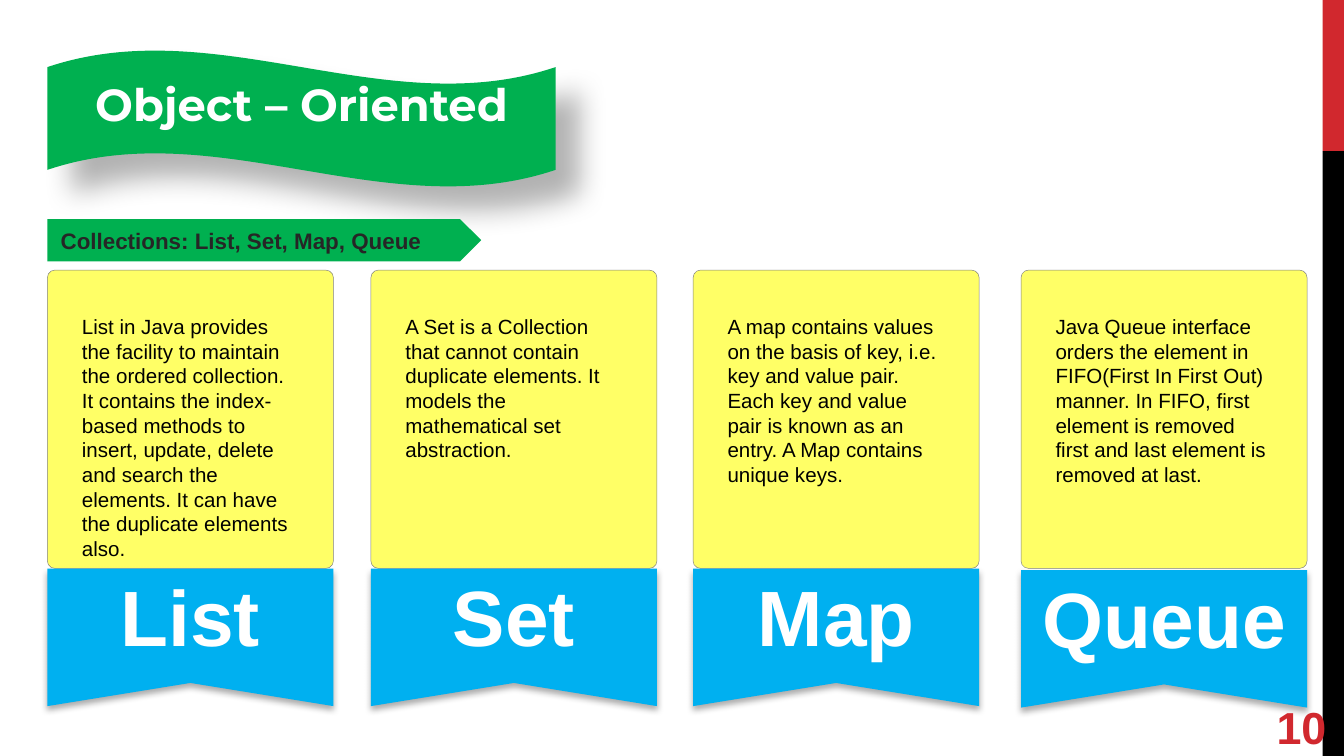
import pptx
import pptx.dml.color
import pptx.enum.shapes
import pptx.enum.text
import pptx.util
import lxml.etree

Pt = pptx.util.Pt
Shape = pptx.enum.shapes.MSO_SHAPE
Align = pptx.enum.text.PP_ALIGN
Anchor = pptx.enum.text.MSO_ANCHOR

GREEN, YELLOW, BLUE, RED = "00B050", "FFFF66", "00B0F0", "D1282E"
BLACK, WHITE, DARK, GREY = "000000", "FFFFFF", "262626", "808080"

TITLE = "Object – Oriented"
SUBTITLE = "Collections: List, Set, Map, Queue\u00a0"
PAGE_NUMBER = "10"
# name, left edge, downward shift of the banner, description
COLLECTIONS = [
    ("List", 25.4, 0, "List in Java provides the facility to maintain the ordered "
     "collection. It contains the index-based methods to insert, update, delete and "
     "search the elements. It can have the duplicate elements also."),
    ("Set", 198.7, 0, "A Set is a Collection that cannot contain duplicate elements. "
     "It models the mathematical set abstraction."),
    ("Map", 371.3, 0, "A map contains values on the basis of key, i.e. key and value "
     "pair. Each key and value pair is known as an entry. A Map contains unique keys."),
    ("Queue", 547, 0.8, "Java Queue interface orders the element in FIFO(First In "
     "First Out) manner. In FIFO, first element is removed first and last element is "
     "removed at last."),
]
CARD_WIDTH, CARD_TOP, CARD_HEIGHT = 153.2, 144.7, 159.8
BANNER_TOP, BANNER_HEIGHT, NOTCH_HEIGHT = 304.6, 73.7, 61.3


def color(value):
    return pptx.dml.color.RGBColor.from_string(value)


def paint(shape, fill, line=None):
    shape.shadow.inherit = False
    shape.fill.solid()
    shape.fill.fore_color.rgb = color(fill)
    if line:
        shape.line.color.rgb = color(line)
        shape.line.width = Pt(0.25)
    else:
        shape.line.fill.background()


def add_block(kind, left, top, width, height, fill, line=None):
    shape = page.shapes.add_shape(kind, Pt(left), Pt(top), Pt(width), Pt(height))
    paint(shape, fill, line)
    return shape


def cast_shadow(shape, opacity, blur, distance, angle):
    effects = shape._element.spPr.find(pptx.oxml.ns.qn("a:effectLst"))
    shadow = lxml.etree.SubElement(
        effects, pptx.oxml.ns.qn("a:outerShdw"), blurRad=str(Pt(blur)),
        dist=str(Pt(distance)), dir=str(angle * 60000), algn="tl", rotWithShape="0")
    tint = lxml.etree.SubElement(shadow, pptx.oxml.ns.qn("a:srgbClr"), val=BLACK)
    lxml.etree.SubElement(tint, pptx.oxml.ns.qn("a:alpha"), val=str(opacity * 1000))


def write(shape, text, size, ink, bold=True, font="Arial", align=Align.LEFT,
          anchor=Anchor.TOP, insets=(0, 0, 0, 0)):
    """Fill a shape with one paragraph; insets run left, top, right, bottom."""
    frame = shape.text_frame
    frame.word_wrap = True
    frame.vertical_anchor = anchor
    (frame.margin_left, frame.margin_top,
     frame.margin_right, frame.margin_bottom) = map(Pt, insets)
    para = frame.paragraphs[0]
    para.alignment = align
    span = para.add_run()
    span.text = text
    span.font.name = font
    span.font.size = Pt(size)
    span.font.bold = bold
    span.font.color.rgb = color(ink)


def add_card(left, text):
    card = add_block(Shape.ROUNDED_RECTANGLE, left, CARD_TOP, CARD_WIDTH, CARD_HEIGHT,
                     YELLOW, GREY)
    card.adjustments[0] = 0.026
    write(card, text, 11, BLACK, bold=False, insets=(17.3, 22.3, 17.3, 22.3))


def add_banner(left, top, name):
    right, bottom = left + CARD_WIDTH, top + BANNER_HEIGHT
    corners = [(right, top), (right, bottom),
               (left + CARD_WIDTH / 2, top + NOTCH_HEIGHT), (left, bottom)]
    builder = page.shapes.build_freeform(Pt(left), Pt(top))
    builder.add_line_segments([(Pt(x), Pt(y)) for x, y in corners], close=True)
    banner = builder.convert_to_shape()
    paint(banner, BLUE)
    cast_shadow(banner, 32, 3.5, 2.2, 90)
    write(banner, name, 42, WHITE, align=Align.CENTER)


deck = pptx.Presentation()
deck.slide_width, deck.slide_height = Pt(720), Pt(405)
page = deck.slides.add_slide(deck.slide_layouts[6])

add_block(Shape.RECTANGLE, 708.6, 0, 11.4, 81, RED)
add_block(Shape.RECTANGLE, 708.6, 81, 11.4, 324, BLACK)

title = add_block(Shape.WAVE, 25.4, 26.8, 272.2, 73.4, GREEN)
cast_shadow(title, 30, 15, 18, 45)
write(title, TITLE, 24, WHITE, font="Montserrat", align=Align.CENTER,
      anchor=Anchor.MIDDLE, insets=(7.2, 3.6, 7.2, 20))

subtitle = add_block(Shape.PENTAGON, 25.4, 117.4, 232.4, 22.6, GREEN)
write(subtitle, SUBTITLE, 12, DARK, anchor=Anchor.MIDDLE, insets=(7.2, 3.6, 7.2, 3.6))

for name, left, shift, description in COLLECTIONS:
    add_card(left, description)
    add_banner(left, BANNER_TOP + shift, name)

number = page.shapes.add_textbox(Pt(667.4), Pt(373.7), Pt(43.2), Pt(31))
write(number, PAGE_NUMBER, 24, RED, align=Align.RIGHT, anchor=Anchor.MIDDLE)

deck.save("out.pptx")
